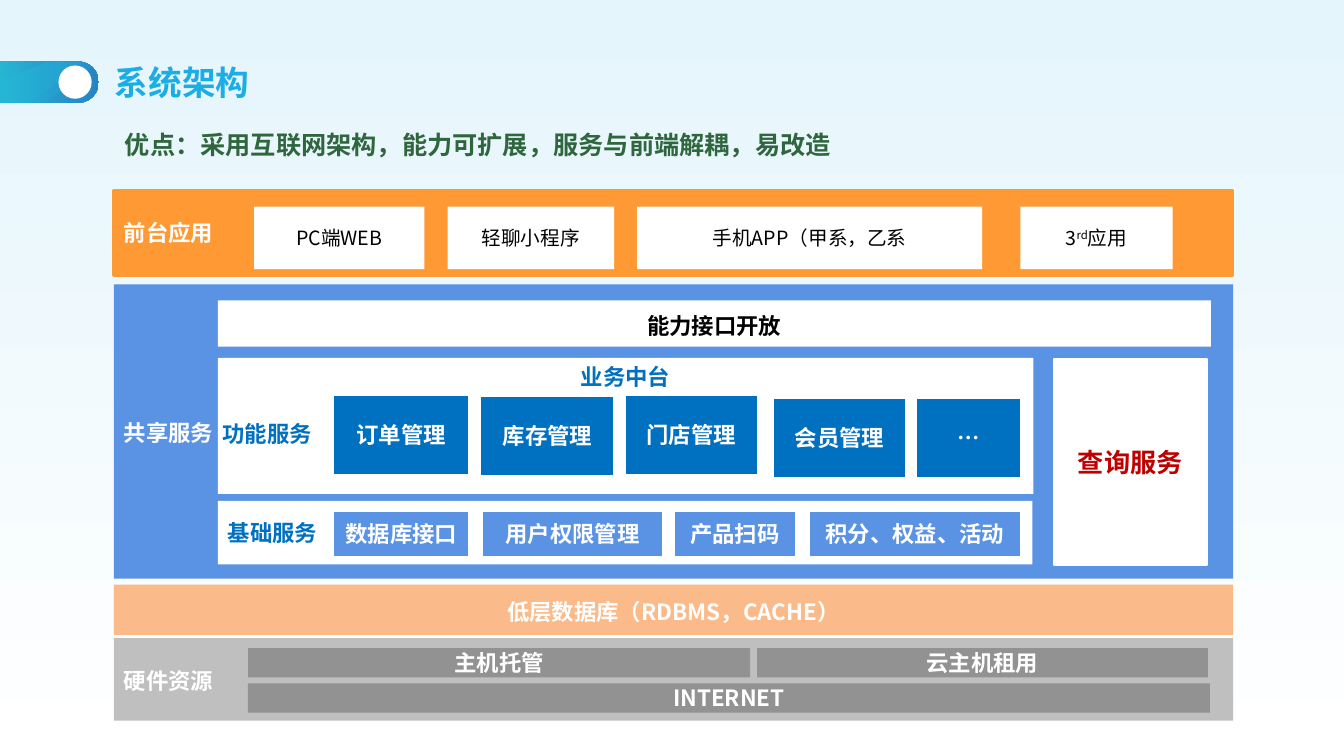
from lxml.etree import SubElement
from pptx import Presentation
from pptx.dml.color import RGBColor
from pptx.enum.shapes import MSO_SHAPE
from pptx.enum.text import MSO_ANCHOR, PP_ALIGN
from pptx.oxml.ns import qn
from pptx.util import Pt

PX = 9144  # 100 px to the inch
CJK = "Noto Sans CJK SC"
COLORS = {
    "white": "FFFFFF", "black": "000000", "sky": "E4F5FC", "title": "1CADE4",
    "green": "2F663E", "orange": "FF9933", "peach": "FABA8A", "blue": "5A92E4",
    "deep": "0070C0", "silver": "BFBFBF", "gray": "808080", "red": "C00000",
    "pill": "2683C6", "teal": "27CED7", "sheen": "22BEDE",
}
SHEENS = [
    [(47, 61), (81, 61), (69, 72), (41, 94), (28, 102), (-29, 102),
     (-40, 99), (-45, 94), (-32, 90), (6, 79)],
    [(49, 61), (77, 61), (85, 62), (91, 66), (80, 75), (48, 99), (43, 102),
     (-29, 102), (-41, 98), (-49, 89), (-32, 87), (7, 76)],
]
FRONT_APPS = [("PC端WEB", 252, 169), ("轻聊小程序", 444, 165),
              ("手机APP（甲系，乙系", 632, 342)]
FUNCTIONS = [("订单管理", 331, 392, 134), ("库存管理", 477, 393, 132),
             ("门店管理", 620, 392, 131), ("会员管理", 767, 395, 131),
             ("…", 909, 395, 103)]
BASICS = [("数据库接口", 331, 134), ("用户权限管理", 479, 178),
          ("产品扫码", 669, 120), ("积分、权益、活动", 803, 209)]
HARDWARE = [("主机托管", 246, 643, 498), ("云主机租用", 751, 643, 447),
            ("INTERNET", 246, 678, 954)]


def rgb(name):
    return RGBColor.from_string(COLORS[name])


def add_text(p, text, size=16, color="white", bold=True, font=CJK, baseline=0):
    r = p.add_run()
    r.text = text
    r.font.size = Pt(size)
    r.font.bold = bold
    r.font.color.rgb = rgb(color)
    r.font.name = font
    rPr = r.font._element
    SubElement(rPr, qn("a:ea")).set("typeface", CJK)
    if baseline:
        rPr.set("baseline", str(baseline * 1000))


def set_frame(sp, align=PP_ALIGN.LEFT, anchor=MSO_ANCHOR.MIDDLE, top=5, bottom=5):
    """Lay out the text frame and return its paragraph."""
    tf = sp.text_frame
    tf.word_wrap = True
    tf.vertical_anchor = anchor
    tf.margin_top, tf.margin_bottom = top * PX, bottom * PX
    p = tf.paragraphs[0]
    p.alignment = align
    return p


def paint(sp, fill, alpha=100, line=None, line_width=0.75):
    sp.shadow.inherit = False
    sp.fill.solid()
    sp.fill.fore_color.rgb = rgb(fill)
    if alpha < 100:
        clr = sp._element.spPr.find(f"{qn('a:solidFill')}/{qn('a:srgbClr')}")
        SubElement(clr, qn("a:alpha")).set("val", str(alpha * 1000))
    if line:
        sp.line.color.rgb = rgb(line)
        sp.line.width = Pt(line_width)
    else:
        sp.line.fill.background()


def add_shape(s, box, kind=MSO_SHAPE.RECTANGLE, fill="white", **style):
    sp = s.shapes.add_shape(kind, *(v * PX for v in box))
    paint(sp, fill, **style)
    return sp


def add_box(s, text, box, fill="white", color="white", size=16, bold=True,
            align=PP_ALIGN.CENTER, anchor=MSO_ANCHOR.MIDDLE, top=5, bottom=5,
            **style):
    sp = add_shape(s, box, fill=fill, **style)
    p = set_frame(sp, align, anchor, top, bottom)
    if text:
        add_text(p, text, size, color, bold)
    return p


def add_label(s, text, box, **font):
    sp = s.shapes.add_textbox(*(v * PX for v in box))
    add_text(set_frame(sp, anchor=MSO_ANCHOR.TOP), text, **font)


def set_gradient(fill, first, last, angle):
    fill.gradient()
    fill.gradient_angle = angle
    for stop, name, at in zip(fill.gradient_stops, (first, last), (0, 1)):
        stop.color.rgb = rgb(name)
        stop.position = at


def add_heading(s):
    set_gradient(s.background.fill, "sky", "white", 270)
    pill = add_shape(s, (-50, 61, 148, 41), MSO_SHAPE.ROUNDED_RECTANGLE, "pill")
    pill.adjustments[0] = 0.5
    set_gradient(pill.fill, "teal", "pill", 0)
    for start, *rest in SHEENS:
        fb = s.shapes.build_freeform(*start, scale=PX)
        fb.add_line_segments(rest)
        paint(fb.convert_to_shape(), "sheen", alpha=19)
    add_shape(s, (58, 65, 33, 33), MSO_SHAPE.OVAL)

    title = s.shapes.title
    title.left, title.top, title.width, title.height = (
        v * PX for v in (104, 58, 200, 46))
    add_text(set_frame(title), "系统架构", 24, "title", font="Arial")
    add_label(s, "优点：采用互联网架构，能力可扩展，服务与前端解耦，易改造",
              (114, 123, 932, 40), size=18, color="green", font="Arial")


def add_front_layer(s):
    add_box(s, "前台应用", (113, 189, 1110, 84), "orange", align=PP_ALIGN.LEFT,
            line="orange", line_width=2)
    for text, x, w in FRONT_APPS:
        add_box(s, text, (x, 205, w, 62), color="black", size=14, bold=False)
    p = add_box(s, "", (1012, 205, 151, 62))
    for text, raised in [("3", 0), ("rd", 30), ("应用", 0)]:
        add_text(p, text, 14, "black", bold=False, baseline=raised)


def add_service_layer(s):
    add_box(s, "共享服务", (113, 282, 1110, 292), "blue", align=PP_ALIGN.LEFT, top=8)
    add_box(s, "能力接口开放", (216, 298, 985, 46), color="black", top=8)
    add_box(s, "业务中台", (216, 355, 809, 135), color="deep", anchor=MSO_ANCHOR.TOP)
    add_label(s, "功能服务", (211, 412, 125, 37), color="deep")
    for text, x, y, w in FUNCTIONS:
        add_box(s, text, (x, y, w, 79), "deep", line="white")
    add_box(s, "基础服务", (216, 497, 808, 63), color="deep", align=PP_ALIGN.LEFT)
    for text, x, w in BASICS:
        add_box(s, text, (x, 507, w, 45), "blue", line="white")
    add_box(s, "查询服务", (1045, 356, 152, 205), color="red", size=18.7,
            line="white", line_width=1.5)


def add_base_layers(s):
    add_box(s, "低层数据库（RDBMS，CACHE）", (113, 580, 1110, 50), "peach", top=8)
    add_box(s, "硬件资源", (113, 633, 1110, 82), "silver", align=PP_ALIGN.LEFT, top=8)
    for text, x, y, w in HARDWARE:
        add_box(s, text, (x, y, w, 29), "gray", alpha=70, top=0, bottom=0)


def main():
    prs = Presentation()
    prs.slide_width, prs.slide_height = 1333 * PX, 750 * PX
    s = prs.slides.add_slide(prs.slide_layouts[5])
    add_heading(s)
    add_front_layer(s)
    add_service_layer(s)
    add_base_layers(s)
    prs.save("out.pptx")


if __name__ == "__main__":
    main()
